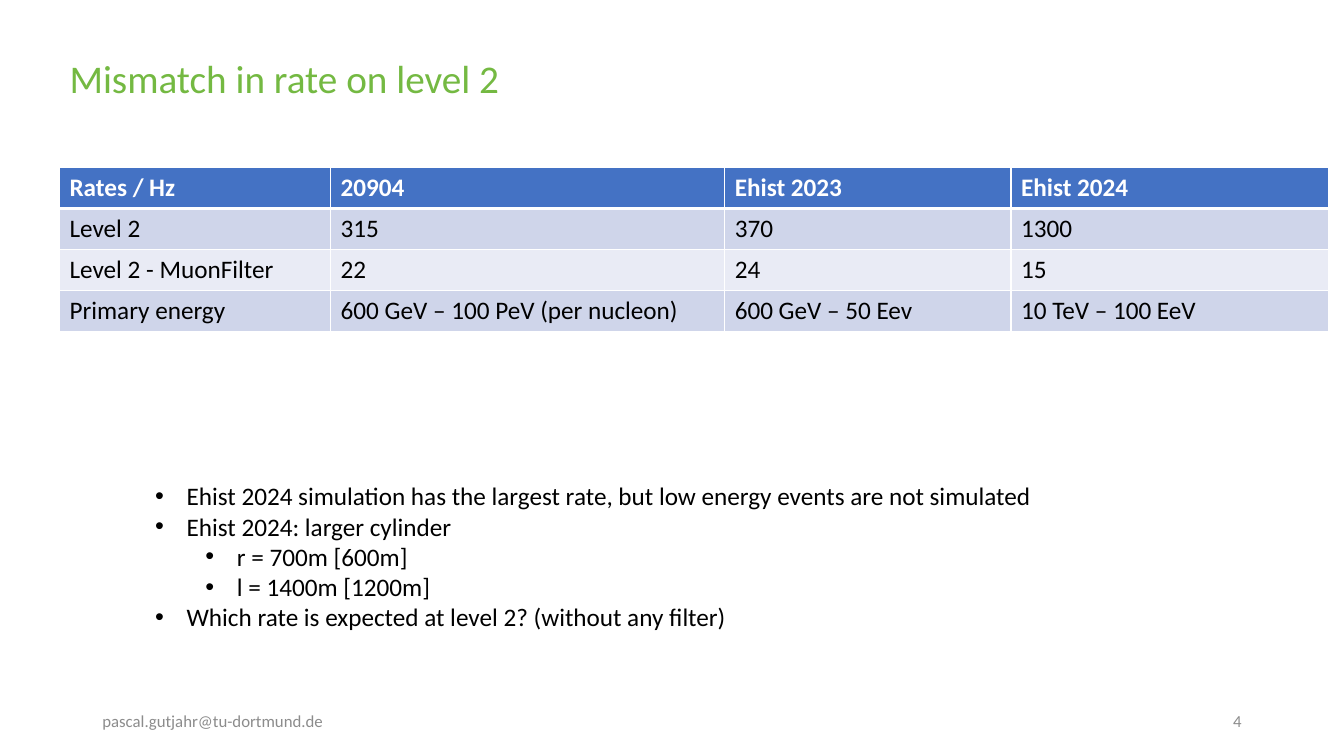
from lxml.etree import SubElement as Sub
from pptx import Presentation
from pptx.dml.color import RGBColor
from pptx.enum.text import MSO_ANCHOR as Anchor, MSO_AUTO_SIZE as Fit, PP_ALIGN as Align
from pptx.oxml.ns import qn
from pptx.util import Pt

GREEN = RGBColor(0x74, 0xB9, 0x42)
BLUE = RGBColor(0x44, 0x72, 0xC4)
BAND = RGBColor(0xCF, 0xD5, 0xEA)
PALE = RGBColor(0xE9, 0xEB, 0xF5)
GRAY = RGBColor(0x8C, 0x8C, 0x8C)
BLACK = RGBColor(0, 0, 0)
WHITE = RGBColor(0xFF, 0xFF, 0xFF)
FONT = "Calibri"

WIDTHS = [193.7, 281.5, 204.5, 226.8]
ROW = 29.2
RATES = [
    ["Rates / Hz", "20904", "Ehist 2023", "Ehist 2024"],
    ["Level 2", "315", "370", "1300"],
    ["Level 2 - MuonFilter", "22", "24", "15"],
    ["Primary energy", "600 GeV – 100 PeV (per nucleon)", "600 GeV – 50 Eev", "10 TeV – 100 EeV"],
]
NOTES = [
    (0, "Ehist 2024 simulation has the largest rate, but low energy events are not simulated"),
    (0, "Ehist 2024: larger cylinder"),
    (1, "r = 700m [600m]"),
    (1, "l = 1400m [1200m]"),
    (0, "Which rate is expected at level 2? (without any filter)"),
]


def add_run(para, text, size, color, bold=False):
    run = para.add_run()
    run.text = text
    font = run.font
    font.name, font.size, font.bold = FONT, Pt(size), bold
    font.color.rgb = color


def add_title(slide, text):
    title = slide.shapes.title
    title.left, title.top, title.width, title.height = Pt(42.5), Pt(28.8), Pt(906.5), Pt(58.3)
    frame = title.text_frame
    frame.vertical_anchor = Anchor.MIDDLE
    frame.auto_size = Fit.NONE
    para = frame.paragraphs[0]
    para.alignment = Align.LEFT
    para.line_spacing = 0.9
    add_run(para, text, 28, GREEN)


def set_edges(cell, base):
    """Draw white cell borders; base is the width of the lower one."""
    props = cell._tc.get_or_add_tcPr()
    edges = [("a:lnL", 1), ("a:lnR", 1), ("a:lnT", 1), ("a:lnB", base)]
    for spot, (tag, width) in enumerate(edges):
        line = Sub(props, qn(tag), w=str(Pt(width)))
        fill = Sub(line, qn("a:solidFill"))
        Sub(fill, qn("a:srgbClr"), val=str(WHITE))
        props.insert(spot, line)  # borders come before the fill


def add_rates(slide, left, top):
    frame = slide.shapes.add_table(
        len(RATES), len(WIDTHS), Pt(left), Pt(top), Pt(sum(WIDTHS)), Pt(ROW * len(RATES)))
    table = frame.table
    for col, width in zip(table.columns, WIDTHS):
        col.width = Pt(width)
    for r, texts in enumerate(RATES):
        table.rows[r].height = Pt(ROW)
        head = r == 0
        for c, text in enumerate(texts):
            cell = table.cell(r, c)
            cell.fill.solid()
            cell.fill.fore_color.rgb = BLUE if head else BAND if r % 2 else PALE
            set_edges(cell, 3 if head else 1)
            add_run(cell.text_frame.paragraphs[0], text, 18, WHITE if head else BLACK, head)


def add_box(slide, left, top, width, height, wrap=True):
    frame = slide.shapes.add_textbox(Pt(left), Pt(top), Pt(width), Pt(height)).text_frame
    frame.word_wrap = wrap
    return frame


def add_foot(slide, left, text, align):
    frame = add_box(slide, left, 500.5, 216, 28.8)
    frame.vertical_anchor = Anchor.MIDDLE
    para = frame.paragraphs[0]
    para.alignment = align
    add_run(para, text, 12, GRAY)


def add_notes(slide):
    frame = add_box(slide, 103.7, 339.8, 647.3, 116.6, wrap=False)
    frame.auto_size = Fit.SHAPE_TO_FIT_TEXT
    for i, (level, text) in enumerate(NOTES):
        para = frame.add_paragraph() if i else frame.paragraphs[0]
        para.level = level
        props = para._p.get_or_add_pPr()
        props.set("marL", str(Pt(22.5 + 36 * level)))
        props.set("indent", str(Pt(-22.5)))
        Sub(props, qn("a:buFont"), typeface="Arial")
        Sub(props, qn("a:buChar"), char="•")
        add_run(para, text, 18, BLACK)


def main():
    deck = Presentation()
    deck.slide_width, deck.slide_height = Pt(960), Pt(540)
    slide = deck.slides.add_slide(deck.slide_layouts[5])

    # Title and table
    add_title(slide, "Mismatch in rate on level 2")
    add_rates(slide, 42.5, 119.8)

    # Footer
    add_foot(slide, 66, "pascal.gutjahr@tu-dortmund.de", Align.LEFT)
    add_foot(slide, 678, "4", Align.RIGHT)

    # Remarks
    add_notes(slide)
    deck.save("out.pptx")


if __name__ == "__main__":
    main()
